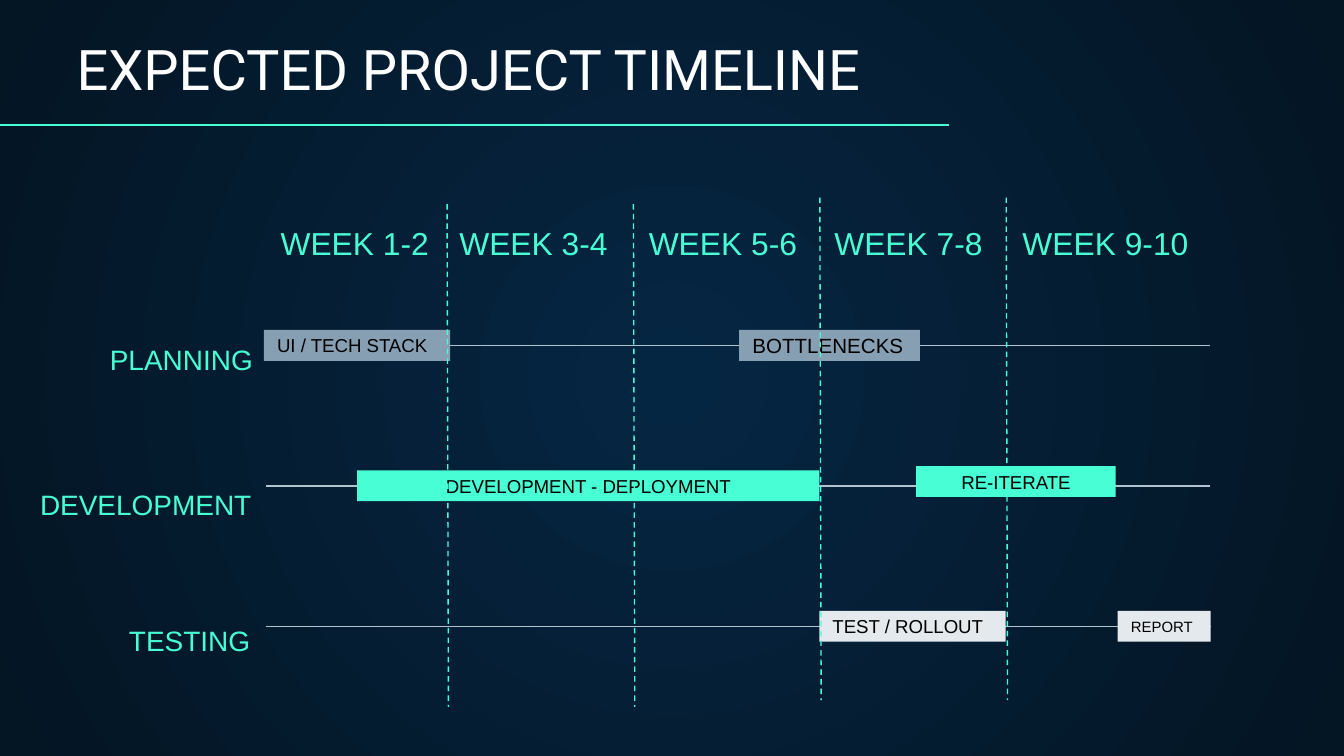
from lxml.etree import SubElement
from pptx import Presentation
from pptx.dml.color import RGBColor
from pptx.enum.dml import MSO_LINE_DASH_STYLE as DASH
from pptx.enum.shapes import MSO_CONNECTOR, MSO_SHAPE
from pptx.enum.text import MSO_ANCHOR, PP_ALIGN
from pptx.oxml.ns import qn
from pptx.util import Inches, Pt

MINT = RGBColor(0x48, 0xFF, 0xD5)
STEEL = RGBColor(0x86, 0x9F, 0xB2)
MIST = RGBColor(0xE3, 0xE9, 0xED)
RULE = RGBColor(0xB3, 0xC3, 0xCE)
WHITE = RGBColor(0xFF, 0xFF, 0xFF)
BLACK = RGBColor(0x00, 0x00, 0x00)
NAVY = RGBColor(0x05, 0x26, 0x43)
MIDNIGHT = RGBColor(0x04, 0x15, 0x23)

GRID_LEFT, COLUMN = 1.95, (7.5 - 3.34) / 3
GRID_TOP, ROW = 2.57, (4.66 - 2.57) / 2
BAR_HEIGHT, LABEL_HEIGHT = 0.23, 0.57

presentation = Presentation()
presentation.slide_width = Inches(10)
presentation.slide_height = Inches(10) * 9 // 16
slide = presentation.slides.add_slide(presentation.slide_layouts[5])

background = slide.background.fill
background.gradient()
for stop, color in zip(background.gradient_stops, (NAVY, MIDNIGHT)):
    stop.color.rgb = color
gradient = slide.element.find(".//" + qn("a:gradFill"))
gradient.remove(gradient.find(qn("a:lin")))
circle = SubElement(gradient, qn("a:path"), path="circle")
SubElement(circle, qn("a:fillToRect"), l="50000", t="50000", r="50000", b="50000")


def write(shape, text, size, color, align, font="Arial", anchor=MSO_ANCHOR.MIDDLE):
    frame = shape.text_frame
    frame.text = text
    frame.word_wrap = True
    frame.vertical_anchor = anchor
    frame.margin_left = frame.margin_right = Inches(0.1)
    frame.margin_top = frame.margin_bottom = Inches(0.1)
    paragraph = frame.paragraphs[0]
    paragraph.alignment = align
    run_font = paragraph.runs[0].font
    run_font.name, run_font.size, run_font.color.rgb = font, Pt(size), color


def add_line(x1, y1, x2, y2, color, dash=None):
    line = slide.shapes.add_connector(
        MSO_CONNECTOR.STRAIGHT, Inches(x1), Inches(y1), Inches(x2), Inches(y2))
    line.line.color.rgb = color
    line.line.width = Pt(0.75)
    if dash:
        line.line.dash_style = dash
    SubElement(line.element.spPr, qn("a:effectLst"))
    return line


title = slide.shapes.title
title.left, title.top = Inches(0.47), Inches(0.2)
title.width, title.height = Inches(6.35), Inches(0.66)
write(title, "EXPECTED PROJECT TIMELINE", 30, WHITE, PP_ALIGN.LEFT, "Roboto", MSO_ANCHOR.BOTTOM)
add_line(-1.47, 0.93, 7.06, 0.93, MINT)

row_lines = [add_line(9, GRID_TOP + row * ROW, 1.98, GRID_TOP + row * ROW, RULE)
             for row in range(3)]

weeks = [("WEEK 1-2", 1.97, 1.34), ("WEEK 3-4", 3.3, 1.34), ("WEEK 5-6", 4.71, 1.34),
         ("WEEK 7-8", 6.09, 1.34), ("WEEK 9-10", 7.48, 1.49)]
for text, left, width in weeks:
    label = slide.shapes.add_textbox(
        Inches(left), Inches(1.52), Inches(width), Inches(LABEL_HEIGHT))
    write(label, text, 17, MINT, PP_ALIGN.CENTER)
    label.text_frame.paragraphs[0].space_after = Pt(16)

phases = [("PLANNING", 0.49, 1.49, 0.1), ("DEVELOPMENT", 0.12, 1.85, 1.13),
          ("TESTING", 0.47, 1.49, 2.1)]
for text, left, width, row in phases:
    top = GRID_TOP + row * ROW - LABEL_HEIGHT / 2
    label = slide.shapes.add_textbox(
        Inches(left), Inches(top), Inches(width), Inches(LABEL_HEIGHT))
    write(label, text, 15, MINT, PP_ALIGN.RIGHT)
    label.text_frame.paragraphs[0].space_after = Pt(16)

tasks = [
    ("UI / TECH STACK", 0.01, 1, 0, STEEL, 10, PP_ALIGN.LEFT),
    ("TEST / ROLLOUT", 2.99, 1, 2, MIST, 10, PP_ALIGN.LEFT),
    ("DEVELOPMENT - DEPLOYMENT", 0.51, 2.48, 1, MINT, 10, PP_ALIGN.CENTER),
    ("BOTTLENECKS", 2.56, 0.97, 0, STEEL, 11, PP_ALIGN.LEFT),
    ("RE-ITERATE", 3.51, 1.07, 0.97, MINT, 10, PP_ALIGN.CENTER),
    ("REPORT", 4.59, 0.5, 2, MIST, 8, PP_ALIGN.LEFT),
]
bars = {}
for text, start, span, row, color, size, align in tasks:
    if text == "RE-ITERATE":
        for column, top in enumerate((1.52, 1.52, 1.47, 1.47), start=1):
            x = GRID_LEFT + column * COLUMN
            add_line(x - 0.01, top, x, top + 3.74, MINT, DASH.DASH)
    bar = slide.shapes.add_shape(
        MSO_SHAPE.RECTANGLE, Inches(GRID_LEFT + start * COLUMN),
        Inches(GRID_TOP + row * ROW - BAR_HEIGHT / 2),
        Inches(span * COLUMN), Inches(BAR_HEIGHT))
    bar.shadow.inherit = False
    bar.fill.solid()
    bar.fill.fore_color.rgb = color
    bar.line.fill.background()
    write(bar, text, size, BLACK, align)
    bars[text] = bar

row_lines[2].begin_connect(bars["REPORT"], 3)

presentation.save("out.pptx")
